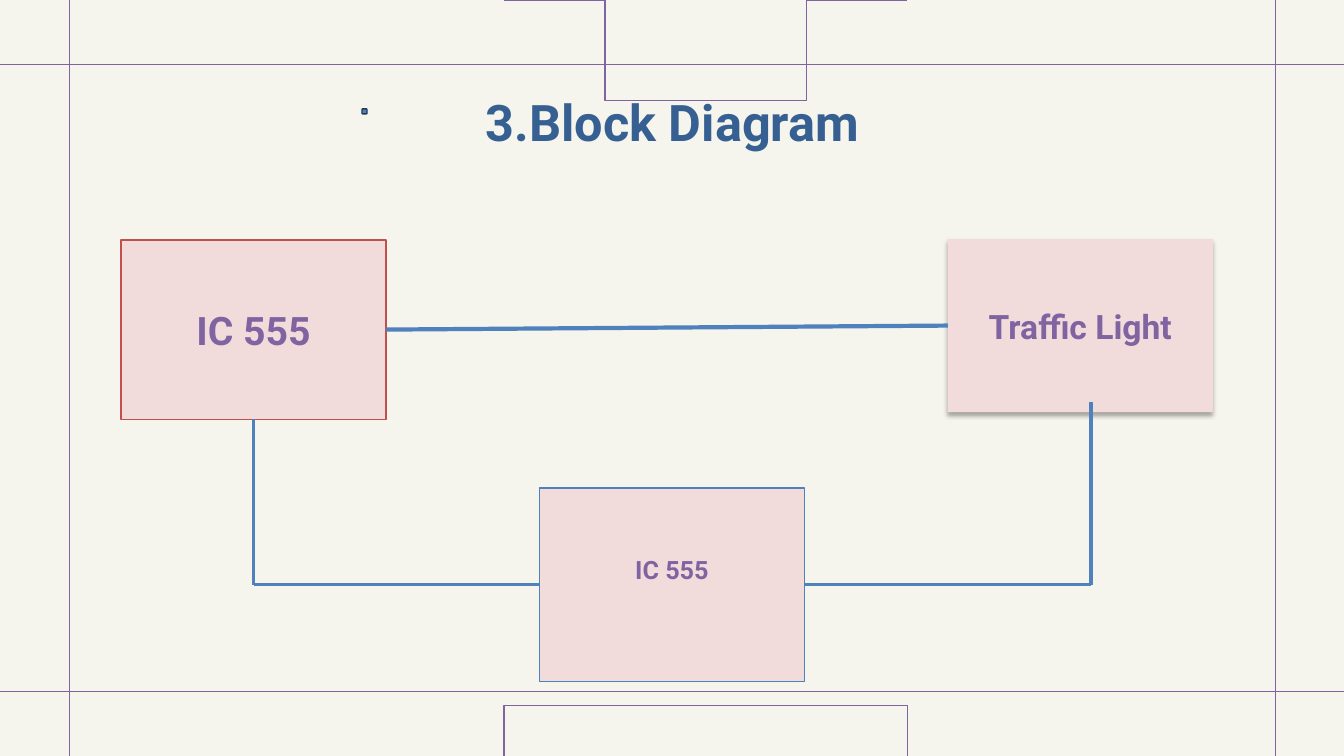
from math import asin, cos, sin
from lxml.etree import SubElement as Sub
from pptx import Presentation
from pptx.dml.color import RGBColor
from pptx.enum.shapes import MSO_CONNECTOR as Conn, MSO_SHAPE as Kind
from pptx.enum.text import MSO_ANCHOR as Anchor, PP_ALIGN as Align
from pptx.oxml.ns import qn
from pptx.util import Inches, Pt

# Content
W, H = 13.33, 7.5
PURPLE, BLUE, PINK = "8064A2", "4F81BD", "F2DCDB"
TITLE = ("3.Block Diagram", 36, "376092")
BOX_W = 2.63
# name: left, top, height, line, text, size, bottom inset
BOXES = {
    "timer": (1.2, 2.38, 1.78, "C0504D", "IC 555", 28, 0.05),
    "light": (9.4, 2.37, 1.72, None, "Traffic Light", 24, 0.05),
    "clock": (5.35, 4.84, 1.92, BLUE, "IC 555", 18, 0.36),
}
EDGE = 0.64            # frame distance from top and bottom
SIDES = (0.69, 12.65)  # frame columns
ARC_W = 1.98           # half width of each arc

deck = Presentation()
deck.slide_width, deck.slide_height = Inches(W), Inches(H)
slide = deck.slides.add_slide(deck.slide_layouts[6])
shapes = slide.shapes


def color(code):
    return RGBColor.from_string(code)


def stroke(line, code, width=1):
    if code:
        line.color.rgb = color(code)
        line.width = Pt(width)
    else:
        line.fill.background()


def wire(start, end, code=BLUE, width=2.25):
    link = shapes.add_connector(Conn.STRAIGHT, *map(Inches, start + end))
    stroke(link.line, code, width)
    Sub(link._element.spPr, qn("a:effectLst"))


def block(kind, spot, fill, line=None):
    part = shapes.add_shape(kind, *map(Inches, spot))
    part.shadow.inherit = False
    part.fill.solid()
    part.fill.fore_color.rgb = color(fill)
    stroke(part.line, line)
    return part


def write(part, text, size, code, low=0.05):
    frame = part.text_frame
    look = {"word_wrap": True, "vertical_anchor": Anchor.MIDDLE,
            "margin_bottom": Inches(low)}
    for key, value in look.items():
        setattr(frame, key, value)
    para = frame.paragraphs[0]
    para.alignment = Align.CENTER
    run = para.add_run()
    run.text = text
    for key, value in {"name": "Roboto", "size": Pt(size), "bold": True}.items():
        setattr(run.font, key, value)
    run.font.color.rgb = color(code)


def arc(peak, way, steps=48):
    """Circle segment that touches the frame at peak and opens up or down."""
    radius = (ARC_W ** 2 + EDGE ** 2) / (2 * EDGE)
    half = asin(ARC_W / radius)
    turns = [half * (2 * i / steps - 1) for i in range(steps + 1)]
    dots = [(W / 2 + radius * sin(t), peak + way * radius * (1 - cos(t)))
            for t in turns]
    pen = shapes.build_freeform(*dots[0], scale=Inches(1))
    pen.add_line_segments(dots[1:], close=False)
    curve = pen.convert_to_shape()
    curve.shadow.inherit = False
    curve.fill.background()
    stroke(curve.line, PURPLE)


# Backdrop and frame
block(Kind.RECTANGLE, (0, 0, W, H), "F5F4ED")
for y, way in ((H - EDGE, 1), (EDGE, -1)):
    wire((0, y), (W, y), PURPLE, 1)
    arc(y, way)
for x in SIDES:
    wire((x, H), (x, 0), PURPLE, 1)

# Title
write(shapes.add_textbox(*map(Inches, (3.33, 0.85, 6.68, 0.71))), *TITLE)

# Boxes
parts = {}
for name, (x, y, tall, line, text, size, low) in BOXES.items():
    parts[name] = block(Kind.RECTANGLE, (x, y, BOX_W, tall), PINK, line)
    write(parts[name], text, size, PURPLE, low)

# Soft shadow under the traffic light
glow = parts["light"]._element.spPr.find(qn("a:effectLst"))
cast = Sub(glow, qn("a:outerShdw"), blurRad=str(Pt(3.5)), dist=str(Pt(2.2)),
           dir="5400000", rotWithShape="0")
tint = Sub(cast, qn("a:srgbClr"), val="000000")
Sub(tint, qn("a:alpha"), val="32000")


# Wires between the boxes
def point(name, across, down):
    x, y, tall = BOXES[name][:3]
    return x + across * BOX_W, y + down * tall


wire(point("timer", 1, 0.5), point("light", 0, 0.5), width=3)
for start, side in ((point("timer", 0.5, 1), 0), (point("light", 0.54, 0.94), 1)):
    end = point("clock", side, 0.5)
    turn = (start[0], end[1])
    wire(start, turn)
    wire(turn, end)

# Small dot beside the title
block(Kind.ROUNDED_RECTANGLE, (3.59, 1.08, 0.05, 0.05), BLUE, "233953")

deck.save("out.pptx")
